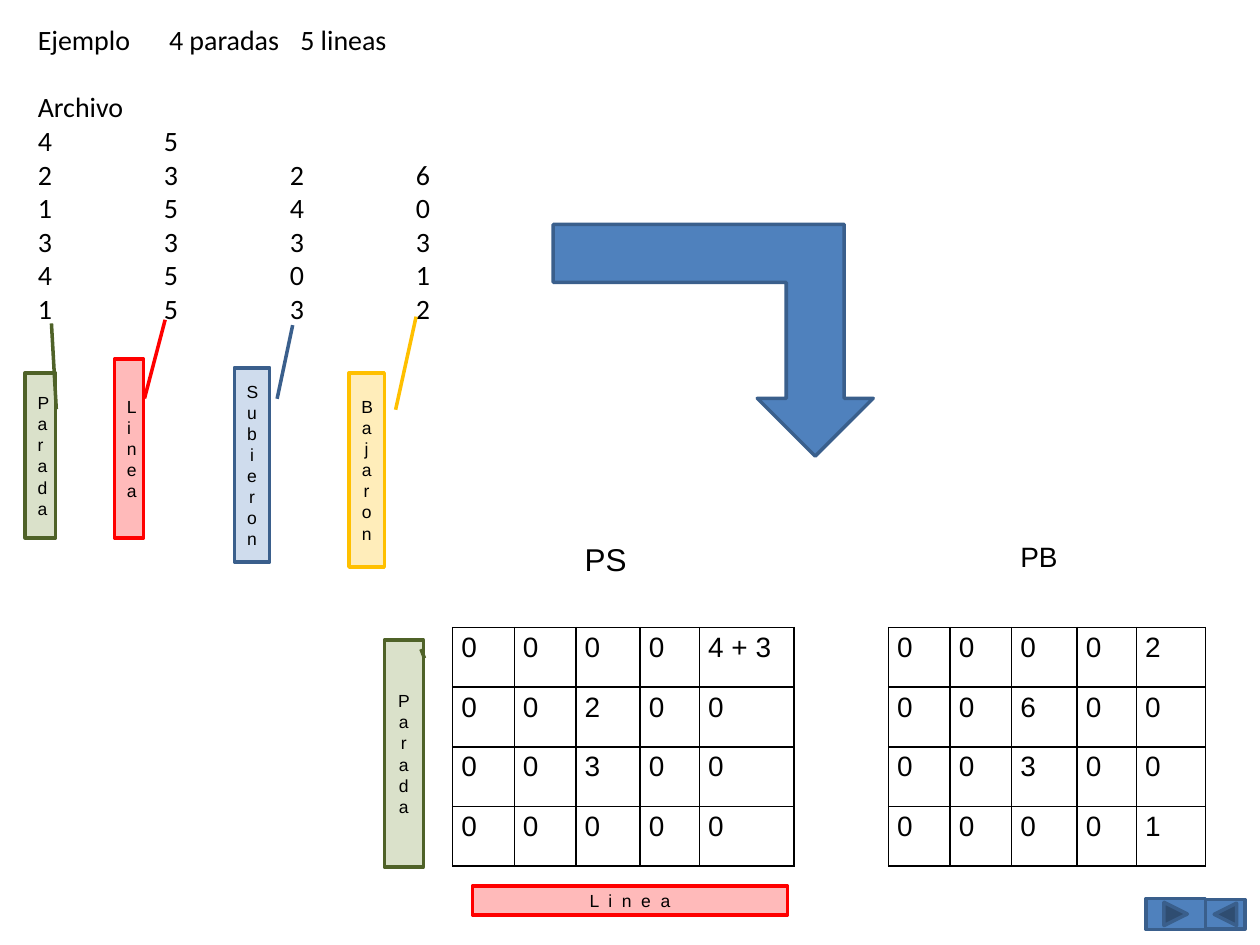
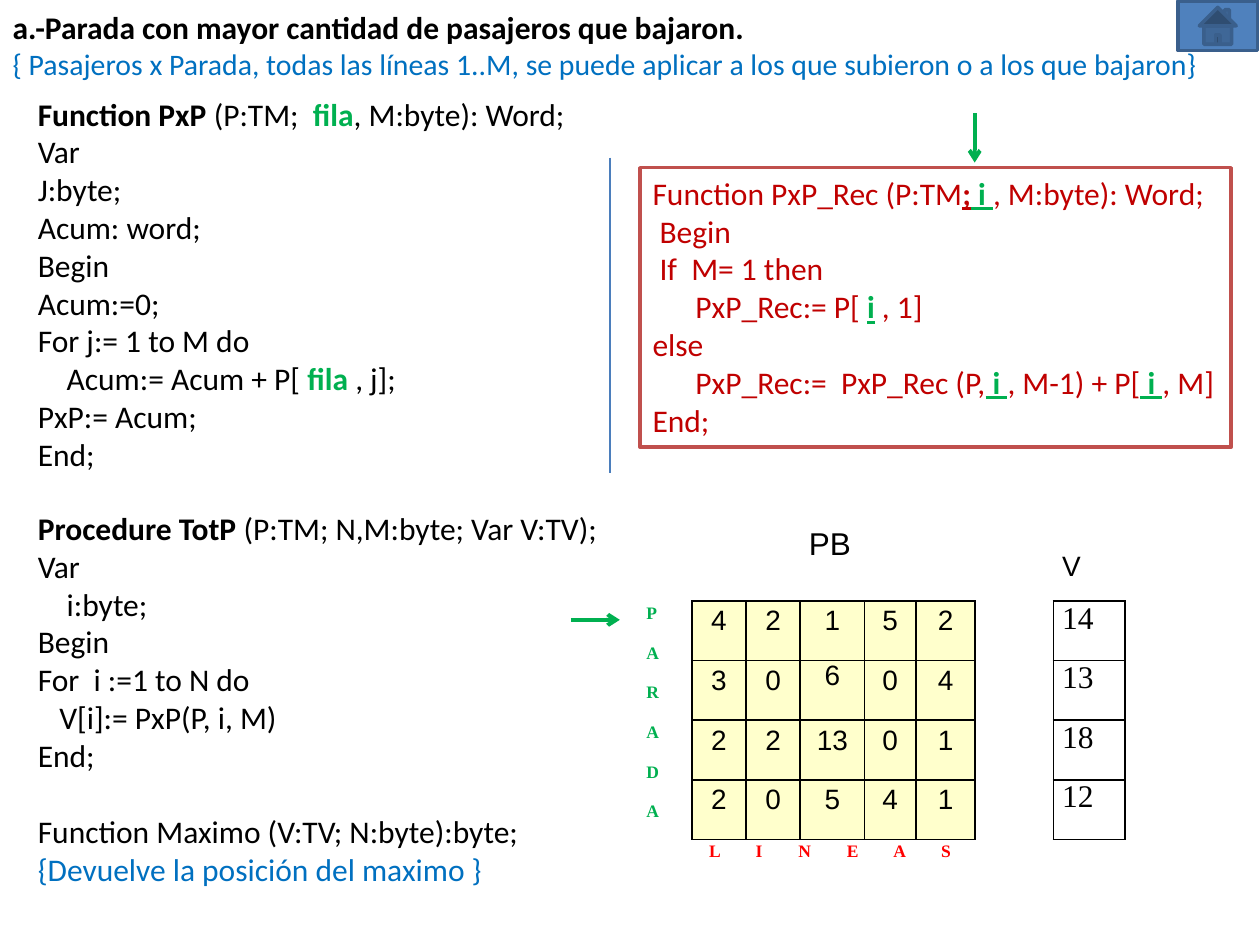
"""Build two slides about a bus-stop matrix exercise in Pascal."""
import pptx
import pptx.dml.color
import pptx.enum.shapes
import pptx.enum.text
import pptx.oxml
import pptx.oxml.ns
import pptx.util
from lxml import etree

Pt = pptx.util.Pt
SHAPE = pptx.enum.shapes.MSO_SHAPE
ALIGN = pptx.enum.text.PP_ALIGN
ANCHOR = pptx.enum.text.MSO_ANCHOR
qn = pptx.oxml.ns.qn

BLACK, GREEN, BLUE, RED, DARK_RED = "000000", "00B050", "0070C0", "FF0000", "C00000"
OLIVE, OLIVE_LINE, STEEL, STEEL_LINE, GOLD = "77933C", "4F6228", "4F81BD", "3A5F8C", "FFC000"
NO_STYLE = "{2D5ABB26-0587-4C30-8999-92F81FD0307C}"
ROW = 34.1
TAB = 72
KEY = {"b": True, "c": GREEN}
REC_KEY = {"b": True, "u": True, "c": GREEN}


def rgb(color):
    return pptx.dml.color.RGBColor.from_string(color)


def set_tab_size(prs):
    for root in (prs.element, prs.slide_master.element):
        for el in root.iter():
            if el.get("defTabSz"):
                el.set("defTabSz", str(int(Pt(TAB))))


def add_par(tf, runs, sz=18, f="Calibri", c=BLACK, al=ALIGN.LEFT, ls=1.0,
            before=0, after=0, indent=0, tab=TAB, spacing=0):
    p = tf.add_paragraph() if tf.paragraphs[0].runs else tf.paragraphs[0]
    p.alignment, p.line_spacing = al, ls
    p.space_before, p.space_after = Pt(before), Pt(after)
    pPr = p._p.get_or_add_pPr()
    for name, value in (("marL", indent), ("indent", 0), ("defTabSz", tab)):
        pPr.set(name, str(int(Pt(value))))
    etree.SubElement(pPr, qn("a:buNone"))
    for run in [runs] if isinstance(runs, str) else runs:
        text, style = (run, {}) if isinstance(run, str) else run
        r = p.add_run()
        r.text = text
        r.font.size, r.font.name = Pt(sz), f
        r.font.bold, r.font.underline = style.get("b", False), style.get("u", False)
        r.font.color.rgb = rgb(style.get("c", c))
        if spacing:
            r.font._element.set("spc", str(spacing))


def place(sp, x, y, w, h):
    sp.left, sp.top, sp.width, sp.height = Pt(x), Pt(y), Pt(w), Pt(h)
    tf = sp.text_frame
    tf.word_wrap = True
    tf.auto_size = pptx.enum.text.MSO_AUTO_SIZE.NONE
    tf.vertical_anchor = ANCHOR.TOP
    return tf


def add_code(tf, lines, **style):
    for indent, runs in lines:
        add_par(tf, runs, indent=indent, **style)


def add_box(s, kind, x, y, w, h, fill=STEEL, line=STEEL_LINE, alpha=None):
    sp = s.shapes.add_shape(kind, Pt(x), Pt(y), Pt(w), Pt(h))
    sp.shadow.inherit = False
    sp.fill.solid()
    sp.fill.fore_color.rgb = rgb(fill)
    sp.line.color.rgb, sp.line.width = rgb(line), Pt(2)
    if alpha:
        color = sp.element.spPr.find(qn("a:solidFill"))[0]
        etree.SubElement(color, qn("a:alpha"), val=str(alpha * 1000))
    return sp


def add_callout(s, text, x, y, w, h, fill, line, adj, spacing=0):
    sp = add_box(s, SHAPE.LINE_CALLOUT_1, x, y, w, h, fill, line, alpha=27)
    for i, value in enumerate(adj):
        sp.adjustments[i] = value
    tf = sp.text_frame
    tf.word_wrap, tf.vertical_anchor = True, ANCHOR.MIDDLE
    add_par(tf, text, sz=10, f="Arial", al=ALIGN.CENTER, spacing=spacing)


def add_line(s, x1, y1, x2, y2, color, width, arrow=False):
    cn = s.shapes.add_connector(pptx.enum.shapes.MSO_CONNECTOR.STRAIGHT,
                                Pt(x1), Pt(y1), Pt(x2), Pt(y2))
    cn.line.color.rgb, cn.line.width = rgb(color), Pt(width)
    if arrow:
        etree.SubElement(cn.line._get_or_add_ln(), qn("a:tailEnd"), type="arrow")
    etree.SubElement(cn.element.spPr, qn("a:effectLst"))


def add_grid(s, x, y, cols, rows):
    frame = s.shapes.add_table(len(rows), len(cols), Pt(x), Pt(y), Pt(sum(cols)), Pt(sum(rows)))
    t = frame.table
    t.first_row = t.horz_banding = False
    t._tbl.tblPr.find(qn("a:tableStyleId")).text = NO_STYLE
    for col, w in zip(t.columns, cols):
        col.width = Pt(w)
    for row, h in zip(t.rows, rows):
        row.height = Pt(h)
    for cell in t.iter_cells():
        cell.margin_left = cell.margin_right = Pt(5)
        cell.margin_top = cell.margin_bottom = 0
        cell.fill.background()
    return t


def write_cell(cell, text, sz=16, f="Arial", al=ALIGN.JUSTIFY, ls=1.15, after=10, **style):
    add_par(cell.text_frame, text, sz=sz, f=f, al=al, ls=ls, after=after, **style)


def add_border(cell):
    tcPr = cell._tc.get_or_add_tcPr()
    for i, side in enumerate(("lnL", "lnR", "lnT", "lnB")):
        ln = etree.Element(qn("a:" + side), w=str(int(Pt(1))))
        fill = etree.SubElement(ln, qn("a:solidFill"))
        etree.SubElement(fill, qn("a:srgbClr"), val=BLACK)
        tcPr.insert(i, ln)


def fill_matrix(t, col, values, fill=None, **style):
    for i, row in enumerate(values, 1):
        for j, text in enumerate(row, col):
            cell = t.cell(i, j)
            add_border(cell)
            write_cell(cell, text, **style)
            if fill:
                cell.fill.solid()
                cell.fill.fore_color.rgb = rgb(fill)


def build_example(prs):
    s = prs.slides.add_slide(prs.slide_layouts[1])
    tf = place(s.shapes.title, 14.4, 9.4, 360, 30)
    add_par(tf, "Ejemplo\t4 paradas\t5 lineas", sz=16, tab=75)
    tf = place(s.placeholders[1], 14.4, 47.8, 360, 144)
    for line in ("Archivo", "4\t5", "2\t3\t2\t6", "1\t5\t4\t0", "3\t3\t3\t3",
                 "4\t5\t0\t1", "1\t5\t3\t2"):
        add_par(tf, line, sz=16)

    callouts = [
        ("Parada", 219.6, 365.8, 22.3, 129.6, OLIVE, OLIVE_LINE, (0.08, 1.03, 0.04, 0.94)),
        ("Parada", 14.4, 213.1, 17.3, 94.3, OLIVE, OLIVE_LINE, (0.22, 1.03, -0.3, 0.87)),
        ("Linea", 65.5, 205.2, 16.6, 102.2, RED, RED, (0.22, 1.03, -0.22, 1.74)),
        ("Subieron", 133.9, 210.2, 20.2, 110.9, STEEL, STEEL_LINE, (0.16, 1.21, -0.22, 1.65)),
        ("Bajaron", 199.4, 213.1, 20.2, 110.9, GOLD, GOLD, (0.19, 1.32, -0.29, 1.9)),
        ("L i n e a", 270, 506.2, 180, 16.6, RED, RED, (3.79, 0.96, 3.55, 1.29), 139),
    ]
    for callout in callouts:
        add_callout(s, *callout)

    t = add_grid(s, 258.7, 307.5, [35.2, 35.2, 36.8, 33.9, 54, 54, 35.2, 35.2, 37.4, 33.9, 39.6],
                 [51.1] + [ROW] * 4)
    write_cell(t.cell(0, 2), "PS", sz=18)
    write_cell(t.cell(0, 8), "PB")
    fill_matrix(t, 0, [["0", "0", "0", "0", "4 + 3"], "00200", "00300", "00000"])
    fill_matrix(t, 6, ["00002", "00600", "00300", "00001"])

    arrow = add_box(s, SHAPE.BENT_UP_ARROW, 316.1, 128.2, 182.9, 132.5)
    arrow.rotation = 180
    arrow.element.spPr.find(qn("a:xfrm")).set("flipH", "1")
    add_box(s, SHAPE.ACTION_BUTTON_BACK_OR_PREVIOUS, 689, 514, 22.5, 17)
    add_box(s, SHAPE.ACTION_BUTTON_FORWARD_OR_NEXT, 654.8, 513.4, 34, 17.8)


def build_functions(prs):
    s = prs.slides.add_slide(prs.slide_layouts[3])
    tf = place(s.shapes.title, 0, 0.7, 720, 50)
    add_par(tf, [("a.-Parada con mayor cantidad de pasajeros que bajaron.", {"b": True})])
    add_par(tf, "{ Pasajeros x Parada, todas las líneas 1..M, se puede aplicar "
                "a los que subieron o a los que bajaron}", sz=17, c=BLUE)

    add_code(place(s.placeholders[1], 14.4, 50.4, 357, 225), [
        (0, [("Function PxP ", {"b": True}), "(P:TM;  ", ("fila", KEY), ", M:byte): Word;"]),
        (0, "Var"),
        (0, "J:byte;"),
        (0, "Acum: word;"),
        (0, "Begin"),
        (0, "Acum:=0;"),
        (0, "For j:= 1 to M do"),
        (16.5, ["Acum:= Acum + P[ ", ("fila ", KEY), ", j];"]),
        (0, "PxP:= Acum;"),
        (0, "End;"),
    ])
    tf = place(s.placeholders[2], 14.4, 287.3, 360, 225)
    add_code(tf, [
        (0, [("Procedure TotP ", {"b": True}), "(P:TM; N,M:byte; Var V:TV);"]),
        (0, "Var"),
        (16.5, "i:byte;"),
        (0, "Begin"),
        (0, "For  i :=1 to N do"),
        (12.3, "V[i]:= PxP(P, i, M)"),
        (0, "End;"),
    ])
    add_par(tf, "Function Maximo (V:TV; N:byte):byte;", before=22)
    add_par(tf, "{Devuelve la posición del maximo }", c=BLUE)
    add_box(s, SHAPE.ACTION_BUTTON_HOME, 673.2, 0.7, 45.4, 28.1)

    t = add_grid(s, 364.3, 298, [31, 31, 31, 36.7, 29.5, 33.8, 56.2], [45.4] + [ROW] * 4 + [23])
    write_cell(t.cell(0, 3), "PB", sz=18)
    fill_matrix(t, 1, ["42152", "30604", ["2", "2", "13", "0", "1"], "20541"],
                fill="FFFFCC", al=ALIGN.CENTER)
    t.cell(2, 3).text_frame.paragraphs[0].line_spacing = 1.0
    t.cell(1, 0).merge(t.cell(4, 0))
    for letter in "PARADA":
        write_cell(t.cell(1, 0), [(letter, KEY)], sz=10, f="Times New Roman")
    lines_cell = t.cell(5, 1)
    lines_cell.merge(t.cell(5, 5))
    lines_cell.margin_left, lines_cell.margin_right = Pt(10), 0
    write_cell(lines_cell, [("L I N E A S", {"b": True, "c": RED})], sz=10,
               f="Times New Roman", al=ALIGN.LEFT, spacing=900)

    t = add_grid(s, 601.9, 292.3, [41], [51.1] + [ROW] * 4)
    t.cell(0, 0).margin_top = Pt(23)
    write_cell(t.cell(0, 0), "V", ls=1.0, after=5)
    fill_matrix(t, 0, [["14"], ["13"], ["18"], ["12"]], sz=18, f="Times New Roman",
                ls=1.0, after=0)

    add_line(s, 326.2, 354.2, 354.2, 354.2, GREEN, 2.25, arrow=True)
    add_line(s, 348.5, 90, 348.5, 270, "4B7EBC", 0.75)
    sp = add_box(s, SHAPE.RECTANGLE, 365.8, 95.8, 337.7, 159.8, "FFFFFF", "C0504D")
    sp.text_frame.margin_right = Pt(3)
    sp.text_frame.word_wrap, sp.text_frame.vertical_anchor = True, ANCHOR.TOP
    add_code(sp.text_frame, [
        (0, ["Function PxP_Rec (P:TM", (";", {"b": True, "u": True}), (" i ", REC_KEY),
             ", M:byte): Word;"]),
        (4, "Begin"),
        (4, "If  M= 1 then"),
        (24.5, ["PxP_Rec:= P[ ", ("i", REC_KEY), " , 1]"]),
        (0, "else"),
        (24.5, ["PxP_Rec:=  PxP_Rec (P,", (" i ", REC_KEY), ", M-1) + P[", (" i ", REC_KEY),
                ", M]"]),
        (0, "End;"),
    ], c=DARK_RED)
    add_line(s, 557, 64.8, 557, 92.9, GREEN, 2.25, arrow=True)


def main():
    prs = pptx.Presentation()
    prs.slide_width, prs.slide_height = Pt(720), Pt(540)
    set_tab_size(prs)
    build_example(prs)
    build_functions(prs)
    prs.save("out.pptx")


if __name__ == "__main__":
    main()
